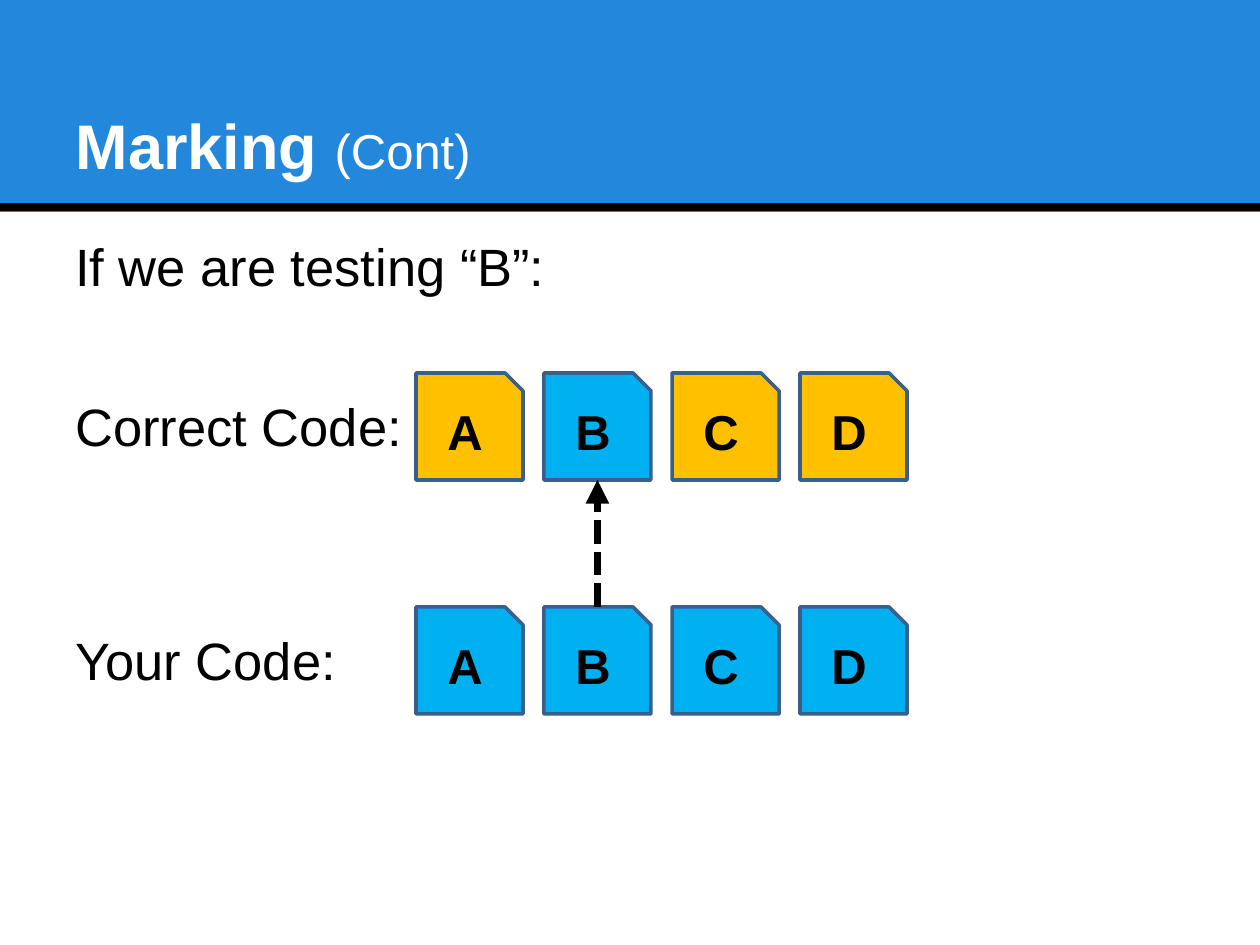
from lxml.etree import SubElement
from pptx import Presentation
from pptx.dml.color import RGBColor
from pptx.enum.dml import MSO_LINE
from pptx.enum.shapes import MSO_CONNECTOR, MSO_SHAPE
from pptx.enum.text import MSO_ANCHOR, MSO_AUTO_SIZE, PP_ALIGN
from pptx.oxml.ns import qn
from pptx.util import Emu, Pt

PX = 914400 / 126
WIDTH, HEIGHT = 1260, 945
MARGIN = 63
INSET = 12.6
BLACK, WHITE = "000000", "FFFFFF"
BLUE, AMBER, SKY, OUTLINE = "2388DB", "FFC000", "00B0F0", "3A5F8C"
TILE, PITCH, TILES_LEFT = 107, 128, 416
LABEL_HEIGHT = 91


def px(*lengths):
    return [Emu(round(length * PX)) for length in lengths]


def color(value):
    return RGBColor.from_string(value)


def add_run(paragraph, text, size, fill, bold=False):
    run = paragraph.add_run()
    run.text = text
    for name, value in {"name": "Arial", "size": Pt(size), "bold": bold}.items():
        setattr(run.font, name, value)
    run.font.color.rgb = color(fill)


def format_frame(frame, anchor):
    inset, = px(INSET)
    values = {"word_wrap": True, "auto_size": MSO_AUTO_SIZE.NONE, "vertical_anchor": anchor,
              "margin_left": inset, "margin_right": inset,
              "margin_top": inset, "margin_bottom": inset}
    for name, value in values.items():
        setattr(frame, name, value)


def add_line(slide, start, end):
    line = slide.shapes.add_connector(MSO_CONNECTOR.STRAIGHT, *px(*start, *end))
    line.line.color.rgb = color(BLACK)
    line.line.width = Pt(4.5)
    SubElement(line._element.spPr, qn("a:effectLst"))
    return line


def add_header(slide, left, top, width, height):
    # Band and the rule along its lower edge
    band = slide.shapes.add_shape(MSO_SHAPE.RECTANGLE, *px(left, top, width, height))
    band.shadow.inherit = False
    band.fill.solid()
    band.fill.fore_color.rgb = color(BLUE)
    band.line.fill.background()
    rule_y = top + height - 5
    add_line(slide, (left, rule_y), (left + width, rule_y))

    # Title, brought in front of the band
    title = slide.shapes.title
    slide.shapes._spTree.append(title._element)
    title.left, title.top, title.width, title.height = px(
        left + MARGIN, top + 38, width - 2 * MARGIN, 157)
    format_frame(title.text_frame, MSO_ANCHOR.BOTTOM)
    paragraph = title.text_frame.paragraphs[0]
    paragraph.alignment = PP_ALIGN.LEFT
    add_run(paragraph, "Marking ", 36, WHITE, bold=True)
    add_run(paragraph, "(Cont)", 28, WHITE)


def add_label(slide, text, left, top, width):
    box = slide.shapes.add_textbox(*px(left, top, width, LABEL_HEIGHT))
    format_frame(box.text_frame, MSO_ANCHOR.TOP)
    add_run(box.text_frame.paragraphs[0], text, 30, BLACK)


def add_tile(slide, letter, fill, left, top):
    tile = slide.shapes.add_shape(MSO_SHAPE.SNIP_1_RECTANGLE, *px(left, top, TILE, TILE))
    tile.shadow.inherit = False
    tile.fill.solid()
    tile.fill.fore_color.rgb = color(fill)
    tile.line.color.rgb = color(OUTLINE)
    tile.line.width = Pt(2)
    tile.text_frame.vertical_anchor = MSO_ANCHOR.MIDDLE
    paragraph = tile.text_frame.paragraphs[0]
    paragraph.alignment = PP_ALIGN.CENTER
    add_run(paragraph, letter, 28, BLACK, bold=True)
    return tile


def add_code_row(slide, label, fills, top):
    """Place a label and its tiles; return the tiles by letter."""
    add_label(slide, label, MARGIN, top + (TILE - LABEL_HEIGHT) / 2, 392)
    return {letter: add_tile(slide, letter, fill, TILES_LEFT + i * PITCH, top)
            for i, (letter, fill) in enumerate(zip("ABCD", fills))}


def add_dotted_arrow(slide, lower, upper):
    arrow = add_line(slide, (0, 0), (0, 0))
    arrow.begin_connect(lower, 0)
    arrow.end_connect(upper, 2)
    arrow.line.dash_style = MSO_LINE.SQUARE_DOT
    SubElement(arrow.line._get_or_add_ln(), qn("a:tailEnd"), type="triangle")


def main():
    presentation = Presentation()
    presentation.slide_width, presentation.slide_height = px(WIDTH, HEIGHT)
    slide = presentation.slides.add_slide(presentation.slide_layouts[5])

    add_header(slide, 0, 0, WIDTH, 212)
    add_label(slide, "If we are testing “B”:", MARGIN, 221, WIDTH - 2 * MARGIN)

    # Code rows, with the tested part linked
    correct = add_code_row(slide, "Correct Code:", [AMBER, SKY, AMBER, AMBER], 373)
    yours = add_code_row(slide, "Your Code:", [SKY] * 4, 607)
    add_dotted_arrow(slide, yours["B"], correct["B"])

    presentation.save("out.pptx")


if __name__ == "__main__":
    main()
